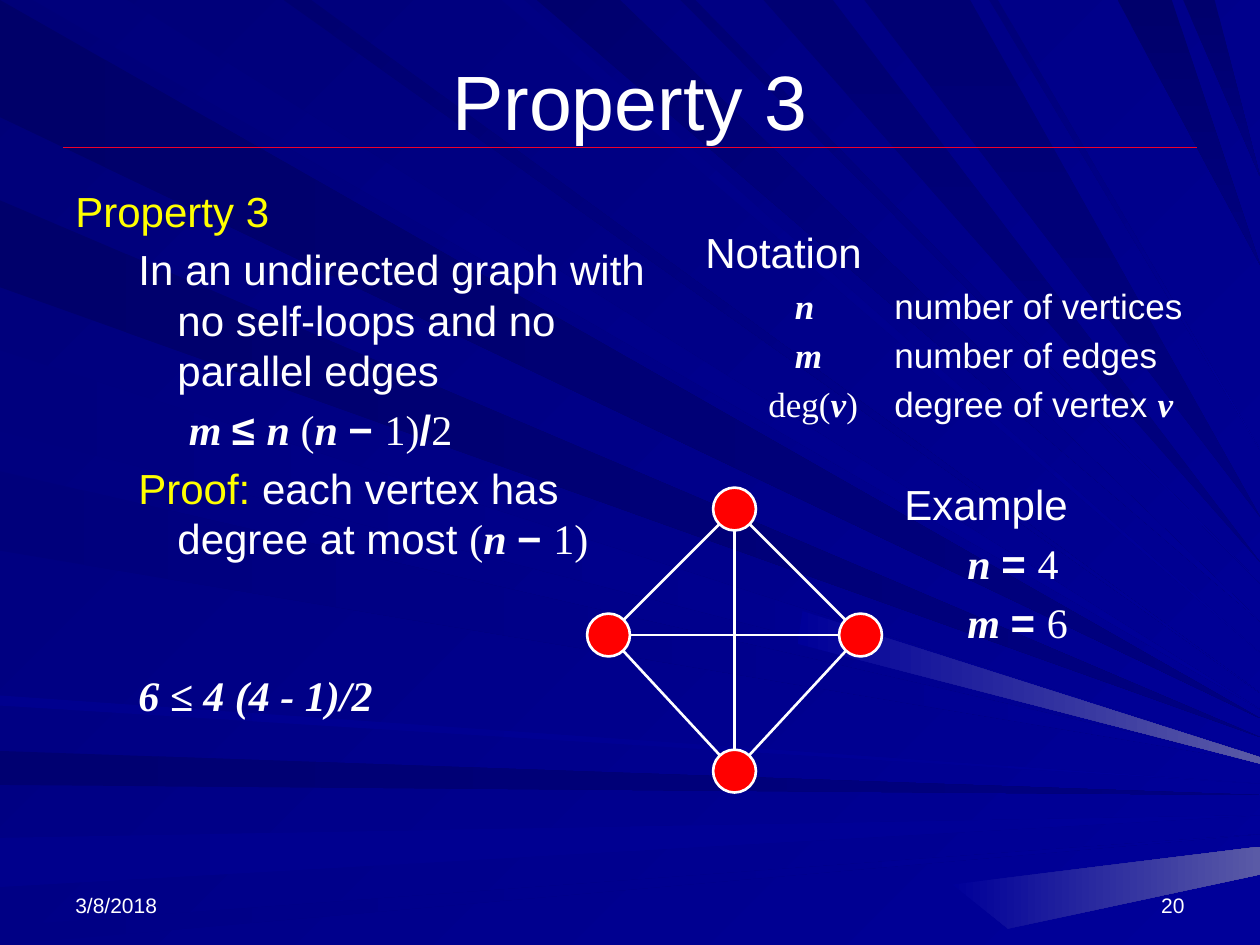
from dataclasses import dataclass
from itertools import combinations
from math import hypot

from lxml import etree
from pptx import Presentation
from pptx import util as u
from pptx.dml.color import RGBColor
from pptx.enum import shapes, text
from pptx.oxml.ns import qn


@dataclass
class Theme:
    white: str = "FFFFFF"
    key: str = "FFFF00"
    node: str = "FF0000"
    rule: str = "EF0129"
    back: str = "000078"
    dark: str = "000080"
    blue: str = "000099"
    glow: str = "5A5AA6"
    sans: str = "Arial"
    serif: str = "Times New Roman"
    title: int = 44
    body: int = 24
    small: int = 20
    foot: int = 12

    def style(self, kind):
        """Font, bold, italic and colour of a kind of run."""
        return {
            "text": (self.sans, False, False, self.white),
            "key": (self.sans, False, False, self.key),
            "sign": (self.sans, True, False, self.white),
            "num": (self.serif, False, False, self.white),
            "var": (self.serif, True, True, self.white),
        }[kind]


@dataclass
class Para:
    runs: list
    left: float = 0
    first: float = 0
    size: int = Theme.body
    gap: float = 0
    align: str = "LEFT"


class Deck:
    def __init__(self, theme, slide):
        self.theme = theme
        self.slide = slide

    def blend(self, fill, start, end, angle):
        fill.gradient()
        fill.gradient_angle = (360 - angle) % 360
        for stop, color in zip(fill.gradient_stops, (start, end)):
            stop.color.rgb = RGBColor.from_string(color)

    def ray(self, points, start, end, angle):
        spots = [(u.Inches(x), u.Inches(y)) for x, y in points]
        pen = self.slide.shapes.build_freeform(*spots[0], scale=1.0)
        pen.add_line_segments(spots[1:], close=True)
        shape = pen.convert_to_shape()
        shape.shadow.inherit = False
        self.blend(shape.fill, start, end, angle)
        shape.line.fill.background()

    def line(self, start, end, color, width):
        ends = [u.Inches(v) for v in (*start, *end)]
        link = self.slide.shapes.add_connector(shapes.MSO_CONNECTOR.STRAIGHT, *ends)
        link.line.color.rgb = RGBColor.from_string(color)
        link.line.width = u.Pt(width)
        etree.SubElement(link._element.spPr, qn("a:effectLst"))

    def node(self, x, y, radius):
        box = [u.Inches(v) for v in (x - radius, y - radius, 2 * radius, 2 * radius)]
        dot = self.slide.shapes.add_shape(shapes.MSO_SHAPE.OVAL, *box)
        dot.shadow.inherit = False
        dot.fill.solid()
        dot.fill.fore_color.rgb = RGBColor.from_string(self.theme.node)
        dot.line.color.rgb = RGBColor.from_string(self.theme.white)
        dot.line.width = u.Pt(1.5)

    def text(self, box, paras, anchor="TOP"):
        frame = self.slide.shapes.add_textbox(*map(u.Inches, box)).text_frame
        frame.word_wrap = True
        frame.vertical_anchor = text.MSO_ANCHOR[anchor]
        for i, para in enumerate(paras):
            line = frame.add_paragraph() if i else frame.paragraphs[0]
            line.alignment = text.PP_ALIGN[para.align]
            props = line._p.get_or_add_pPr()
            props.set("marL", str(u.Inches(para.left)))
            props.set("indent", str(u.Inches(para.first)))
            if i:
                line.space_before = u.Pt(para.gap or para.size * 0.2)
            for words, kind in para.runs:
                run = line.add_run()
                run.text = words
                font = run.font
                font.name, font.bold, font.italic, color = self.theme.style(kind)
                font.size = u.Pt(para.size)
                font.color.rgb = RGBColor.from_string(color)


# Start and end on the edge, height of the tip at the right, colour, end colour
LEFT = [
    (0, 0.93, 5.7, "000069", "dark"),
    (5.96, 6.23, 6.31, "000071", "dark"),
    (6.65, 7.04, 6.47, "00008C", "blue"),
    (7.35, 7.5, 6.62, "000085", "blue"),
    (1.59, 2.28, 5.85, "00006B", "dark"),
    (2.78, 3.42, 6, "00007E", "blue"),
    (3.74, 4.37, 6.05, "00007B", "blue"),
    (5.52, 5.6, 6.22, "00008E", "blue"),
]
TOP = [
    (0.26, 1.01, 5.63, "00007B", "blue"),
    (3.98, 4.16, 5.18, "000083", "blue"),
    (4.26, 4.92, 4.93, "00006D", "blue"),
    (5.4, 5.52, 4.63, "000073", "blue"),
    (6.06, 6.61, 4.46, "000073", "dark"),
    (8.87, 9.3, 2.1, "00006B", "dark"),
    (9.39, 9.64, 1.4, "00006D", "dark"),
    (2.25, 2.47, 5.5, "000070", "blue"),
    (6.86, 7.7, 4.1, "000073", "dark"),
    (7.85, 7.92, 3.57, "000078", "blue"),
]
GLOWS = [
    [(10, 6.94), (10, 6.72), (7.56, 7.02), (8, 7.37)],
    [(10, 6.01), (6.37, 4.85), (6.33, 5.11), (10, 6.06)],
]
NODES = [(4.83, 5.04), (5.83, 4.04), (5.83, 6.12), (6.83, 5.04)]
RADIUS = 0.17


def rays(deck):
    theme = deck.theme
    for a, b, tip, start, end in LEFT:
        deck.ray([(0, a), (10, tip), (0, b)], start, getattr(theme, end), 0)
    for a, b, tip, start, end in TOP:
        angle = 90 if end == "dark" else 45
        deck.ray([(a, 0), (10, tip), (b, 0)], start, getattr(theme, end), angle)
    for points in GLOWS:
        deck.ray(points, theme.blue, theme.glow, 0)


def graph(deck):
    """Draw the complete graph, its edges ending at the rims of the nodes."""
    for x, y in NODES:
        deck.node(x, y, RADIUS)
    for (ax, ay), (bx, by) in combinations(NODES, 2):
        size = hypot(bx - ax, by - ay)
        dx, dy = (bx - ax) * RADIUS / size, (by - ay) * RADIUS / size
        deck.line((ax + dx, ay + dy), (bx - dx, by - dy), deck.theme.white, 1.5)


def main():
    theme = Theme()
    show = Presentation()
    show.slide_width, show.slide_height = u.Inches(10), u.Inches(7.5)
    deck = Deck(theme, show.slides.add_slide(show.slide_layouts[6]))
    deck.blend(deck.slide.background.fill, theme.back, theme.blue, 45)
    rays(deck)
    deck.line((0.5, 1.17), (9.5, 1.17), theme.rule, 0.75)

    for left, words, align in ((0.5, "3/8/2018", "LEFT"), (7.17, "20", "RIGHT")):
        foot = Para([(words, "text")], size=theme.foot, align=align)
        deck.text((left, 6.83, 2.33, 0.5), [foot], "BOTTOM")
    title = Para([("Property 3", "text")], size=theme.title, align="CENTER")
    deck.text((0.5, 0.3, 9, 0.98), [title], "MIDDLE")

    terms = [
        (-0.79, [("n\t", "var"), ("number of vertices", "text")]),
        (-0.79, [("m\t", "var"), ("number of edges", "text")]),
        (-1, [("deg(", "num"), ("v", "var"), (")\t", "num"), ("degree of vertex ", "text"), ("v", "var")]),
    ]
    deck.text((5.5, 1.75, 4.08, 1.75), [Para([("Notation", "text")], 0.12, -0.12)]
              + [Para(runs, 1.5, first, theme.small) for first, runs in terms])

    outer, inner = (0.38, -0.38), (0.81, -0.31)
    limit = [("(", "num"), ("n ", "var"), ("− ", "sign"), ("1)", "num")]
    deck.text((0.5, 1.42, 4.72, 5.42), [
        Para([("Property 3", "key")], *outer),
        Para([("In an undirected graph with no self-loops and no parallel edges", "text")], *inner),
        Para([("m ", "var"), ("≤ ", "sign"), ("n ", "var"), *limit, ("/", "sign"), ("2", "num")], 0.9),
        Para([("Proof:", "key"), (" each vertex has degree at most ", "text"), *limit], *inner),
        Para([("6 ≤ 4 (4 - 1)/2", "var")], *inner, gap=61),
    ])

    graph(deck)
    deck.text((7.08, 3.75, 2.5, 2), [Para([("Example", "text")], *outer)] + [
        Para([(name + " ", "var"), ("= ", "sign"), (count, "num")], *inner)
        for name, count in (("n", "4"), ("m", "6"))])
    show.save("out.pptx")


if __name__ == "__main__":
    main()
